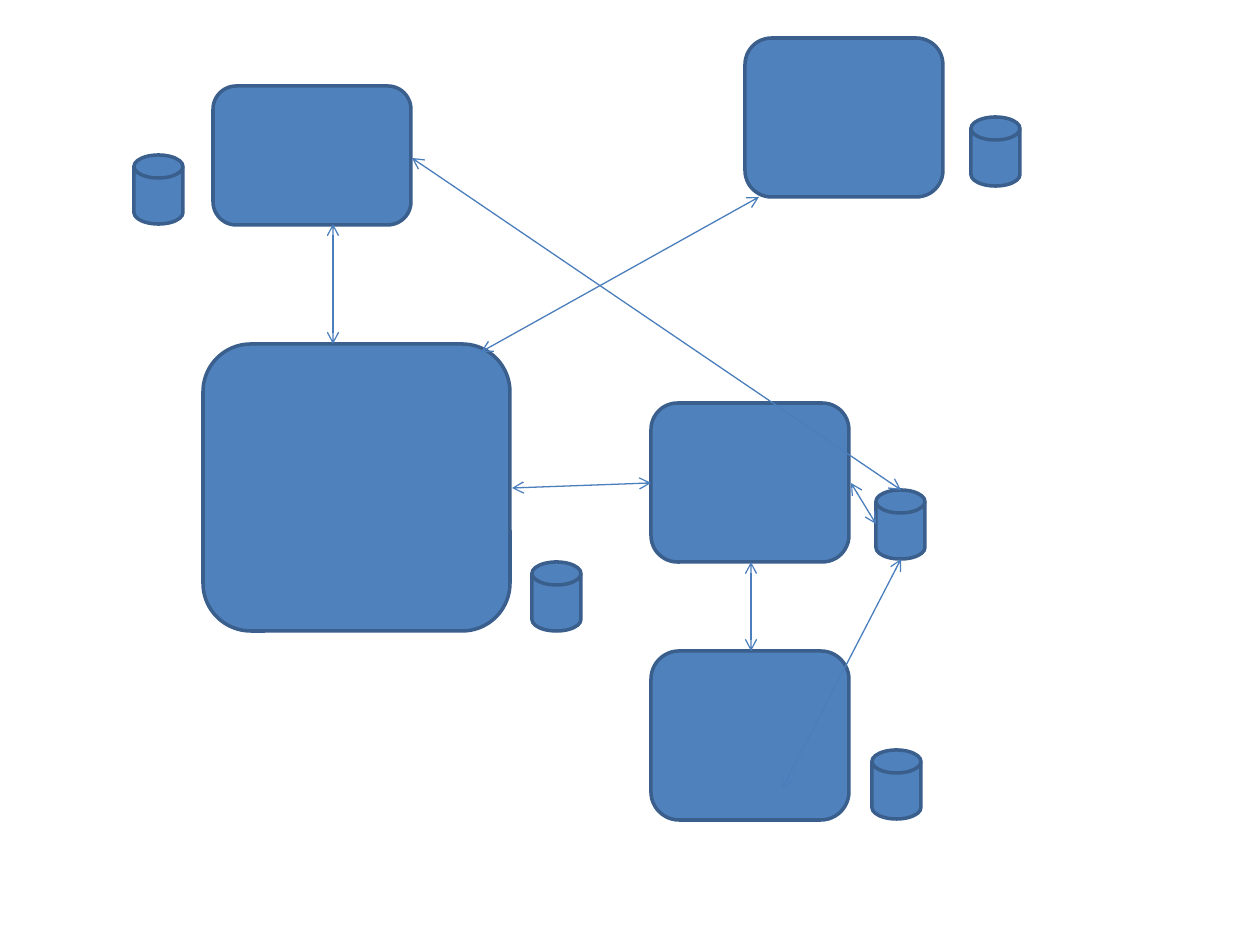
from lxml import etree
from pptx import Presentation
from pptx.dml.color import RGBColor
from pptx.enum.shapes import MSO_CONNECTOR, MSO_SHAPE
from pptx.oxml.ns import qn
from pptx.util import Pt

BOX = MSO_SHAPE.ROUNDED_RECTANGLE
DISK = MSO_SHAPE.FLOWCHART_MAGNETIC_DISK
STRAIGHT = MSO_CONNECTOR.STRAIGHT
EMU_PER_PX = 914400 / 126
COLORS = {"fill": "4F81BD", "outline": "3A5F8C", "arrow": "4B7EBC"}

DISK_SIZE = (49, 69)
# left, top, width, height
NODES = [
    (213, 86, 198, 139),
    (203, 344, 307, 287),
    (651, 403, 198, 159),
    (651, 651, 198, 169),
    (745, 38, 198, 159),
]
# left, top
STORES = [(876, 490), (971, 117), (872, 750), (134, 155), (532, 562)]
# start x, start y, end x, end y
LINKS = [
    (481, 352, 759, 197),
    (512, 488, 651, 483),
    (751, 562, 751, 651),
    (851, 483, 876, 524),
    (782, 789, 901, 559),
    (333, 224, 333, 344),
    (412, 158, 901, 490),
]


def px(n):
    return round(n * EMU_PER_PX)


def rgb(name):
    return RGBColor.from_string(COLORS[name])


def add_solid(s, kind, x, y, w, h):
    sp = s.shapes.add_shape(kind, px(x), px(y), px(w), px(h))
    sp.shadow.inherit = False
    sp.fill.solid()
    sp.fill.fore_color.rgb = rgb("fill")
    sp.line.color.rgb = rgb("outline")
    sp.line.width = Pt(2)


def add_double_arrow(s, *ends):
    link = s.shapes.add_connector(STRAIGHT, *map(px, ends))
    link.line.color.rgb = rgb("arrow")
    link.line.width = Pt(0.75)
    ln = link.line._get_or_add_ln()
    for tag in ("a:headEnd", "a:tailEnd"):
        etree.SubElement(ln, qn(tag), type="arrow")
    etree.SubElement(link._element.spPr, qn("a:effectLst"))


def main():
    prs = Presentation()
    prs.slide_width, prs.slide_height = px(1260), px(945)
    s = prs.slides.add_slide(prs.slide_layouts[6])

    # System boxes and their data stores
    for node in NODES:
        add_solid(s, BOX, *node)
    for store in STORES:
        add_solid(s, DISK, *store, *DISK_SIZE)

    # Two-way links, in front of the shapes
    for link in LINKS:
        add_double_arrow(s, *link)

    prs.save("out.pptx")


if __name__ == "__main__":
    main()
